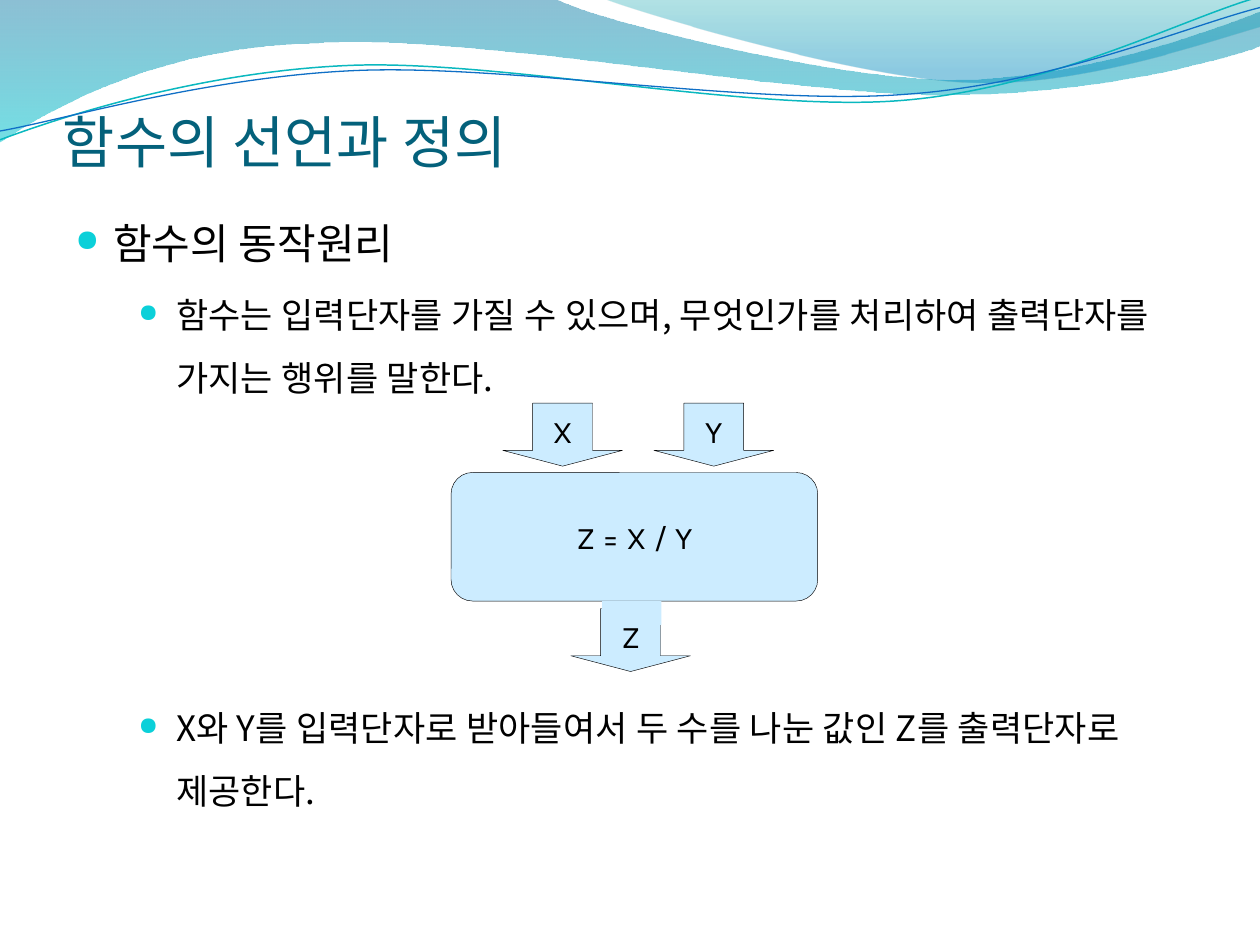
from lxml.etree import SubElement
from pptx import Presentation
from pptx.dml.color import RGBColor
from pptx.enum.shapes import MSO_SHAPE
from pptx.enum.text import MSO_ANCHOR, PP_ALIGN
from pptx.oxml.ns import qn
from pptx.util import Inches, Pt

BLACK = RGBColor(0x00, 0x00, 0x00)
TITLE_BLUE = RGBColor(0x04, 0x61, 0x7B)
BULLET_CYAN = RGBColor(0x0B, 0xD0, 0xD9)
BOX_BLUE = RGBColor(0xCC, 0xEC, 0xFF)
LINE_TEAL = RGBColor(0x0A, 0xB8, 0xBF)
LINE_BLUE = RGBColor(0x0F, 0x6F, 0xC6)
WAVE_BLUE = RGBColor(0x00, 0x74, 0xA1)
WAVE_CYAN = RGBColor(0x00, 0xC6, 0xCF)
CREST_TEAL = RGBColor(0x00, 0xA1, 0xA9)
CREST_BLUE = RGBColor(0x00, 0x8B, 0xBF)

KOREAN_FONT = "Noto Sans CJK KR"
LABEL_FONT = "Karla"
CELL = Inches(0.1)  # the grid has 100 columns and 75 rows

# Outlines in grid cells: a pair is a straight step, six numbers a Bézier curve.
WAVE = [(0, 0), (44, -0.1), (47.6, 1.7, 66.4, 6.3, 75.8, 6.3),
        (85.3, 6.3, 95.8, 2.6, 100, 0.9), (100.1, 3.6),
        (98.3, 4.4, 87, 7.6, 74.6, 7.5), (62.2, 7.5, 38.2, 2.8, 25.7, 3.4),
        (12.9, 3.6, 4.6, 8.3, -0.1, 11.3)]
CREST = [(47.9, -0.1), (50.9, 1.1, 68.2, 6.2, 76.9, 6.5),
         (85.6, 6.9, 96.1, 3.2, 100, 2.1), (100, 0)]
TEAL_CURVE = [(0, 11.1), (4.8, 9.3, 15.8, 5.7, 27.7, 5.2),
              (39.5, 4.7, 59.3, 8.9, 71.3, 8), (83.3, 7.1, 93.8, 1.5, 99.8, -0.2)]
BLUE_CURVE = [(0, 10.4), (4.7, 9.6, 16.4, 6.1, 28.3, 5.6),
              (40.3, 5.1, 59.7, 8.4, 71.7, 7.5), (83.6, 6.7, 94.1, 2.1, 100, 0.6)]


def cells(*lengths):
    return [round(length * CELL) for length in lengths]


def bend(shape, steps):
    """Join each three straight segments that stand for a curve into one Bézier."""
    segments = iter(list(shape._element.iter(qn("a:lnTo"))))
    for step in steps[1:]:
        segment = next(segments)
        if len(step) == 6:
            segment.tag = qn("a:cubicBezTo")
            for _ in range(2):
                following = next(segments)
                segment.append(following[0])
                following.getparent().remove(following)


def add_bullet(paragraph, left):
    properties = paragraph._p.get_or_add_pPr()
    properties.set("marL", str(Inches(left)))
    properties.set("indent", str(Inches(-0.3)))
    color = SubElement(properties, qn("a:buClr"))
    SubElement(color, qn("a:srgbClr"), val=str(BULLET_CYAN))
    SubElement(properties, qn("a:buSzPct"), val="72000")
    SubElement(properties, qn("a:buChar"), char="●")


def write(paragraph, text, size=18, font=LABEL_FONT, color=BLACK, align=None,
          line_height=None, before=None):
    run = paragraph.add_run()
    run.text = text
    run.font.size = Pt(size)
    run.font.name = font
    run.font.color.rgb = color
    SubElement(run.font._element, qn("a:ea"), typeface=LABEL_FONT)
    paragraph.alignment = align
    if line_height:
        paragraph.line_spacing = Pt(line_height)
    if before is not None:
        paragraph.space_before = Pt(before)


class SlideBuilder:
    """Places elements on one slide; lengths are counted in grid cells."""

    def __init__(self, slide):
        self.shapes = slide.shapes

    def outline(self, steps, closed):
        points = [cells(*step[index:index + 2])
                  for step in steps for index in range(0, len(step), 2)]
        builder = self.shapes.build_freeform(*points[0])
        builder.add_line_segments(points[1:], close=closed)
        shape = builder.convert_to_shape()
        bend(shape, steps)
        shape.shadow.inherit = False
        return shape

    def wave(self, steps, stops):
        shape = self.outline(steps, closed=True)
        shape.line.fill.background()
        shape.fill.gradient()
        shape.fill.gradient_angle = 270
        elements = shape._element.spPr.iter(qn("a:gs"))
        for stop, element, (position, color, opacity) in zip(
                shape.fill.gradient_stops, elements, stops):
            stop.color.rgb = color
            element.set("pos", str(position * 1000))
            SubElement(element[0], qn("a:alpha"), val=str(opacity * 1000))

    def curve(self, steps, color, width):
        shape = self.outline(steps, closed=False)
        shape.fill.background()
        shape.line.color.rgb = color
        shape.line.width = Pt(width)

    def text_box(self, left, top, width, height):
        frame = self.shapes.add_textbox(*cells(left, top, width, height)).text_frame
        frame.word_wrap = True
        return frame

    def title(self, text):
        frame = self.text_box(5, 7.7, 90, 6.2)
        frame.margin_left = frame.margin_right = frame.margin_bottom = 0
        frame.vertical_anchor = MSO_ANCHOR.BOTTOM
        write(frame.paragraphs[0], text, size=32.4, font=KOREAN_FONT, color=TITLE_BLUE)

    def bullets(self, items):
        frame = self.text_box(5, 14.7, 93, 57.5)
        for index, (text, left, size, line_height, before) in enumerate(items):
            paragraph = frame.add_paragraph() if index else frame.paragraphs[0]
            add_bullet(paragraph, left)
            write(paragraph, text, size=size, font=KOREAN_FONT,
                  line_height=line_height, before=before)

    def block(self, kind, left, top, width, height, text="", adjustments=(), outlined=True):
        shape = self.shapes.add_shape(kind, *cells(left, top, width, height))
        shape.shadow.inherit = False
        for index, value in enumerate(adjustments):
            shape.adjustments[index] = value
        shape.fill.solid()
        shape.fill.fore_color.rgb = BOX_BLUE
        if outlined:
            shape.line.color.rgb = BLACK
            shape.line.width = Pt(0.25)
        else:
            shape.line.fill.background()
        if text:
            frame = shape.text_frame
            frame.word_wrap = False
            frame.vertical_anchor = MSO_ANCHOR.MIDDLE
            write(frame.paragraphs[0], text, align=PP_ALIGN.CENTER)

    def arrow(self, left, top, text):
        self.block(MSO_SHAPE.DOWN_ARROW, left, top, 9.5, 5, text, (0.5, 0.25))


def main():
    presentation = Presentation()
    presentation.slide_width = 100 * CELL
    presentation.slide_height = 75 * CELL
    builder = SlideBuilder(presentation.slides.add_slide(presentation.slide_layouts[6]))

    builder.wave(WAVE, [(0, WAVE_BLUE, 45), (100, WAVE_CYAN, 55)])
    builder.wave(CREST, [(0, CREST_TEAL, 30), (80, CREST_BLUE, 45)])
    builder.curve(TEAL_CURVE, LINE_TEAL, 0.85)
    builder.curve(BLUE_CURVE, LINE_BLUE, 0.75)

    builder.title("함수의 선언과 정의")
    # The last item leaves room for the diagram above it.
    builder.bullets([
        ("함수의 동작원리", 0.3, 24, 43.5, None),
        ("함수는 입력단자를 가질 수 있으며, 무엇인가를 처리하여 출력단자를 가지는 행위를 말한다.",
         0.8, 20, 36, 3),
        ("X와 Y를 입력단자로 받아들여서 두 수를 나눈 값인 Z를 출력단자로 제공한다.",
         0.8, 20, 36, 164),
    ])

    builder.block(MSO_SHAPE.ROUNDED_RECTANGLE, 35.8, 37.5, 29.1, 10.2, "Z = X / Y", (0.167,))
    for left, top, name in [(39.9, 32, "X"), (51.9, 32, "Y"), (45.3, 48.3, "Z")]:
        builder.arrow(left, top, name)
    builder.block(MSO_SHAPE.RECTANGLE, 47.8, 47.7, 4.7, 1.9, outlined=False)

    presentation.save("out.pptx")


if __name__ == "__main__":
    main()
